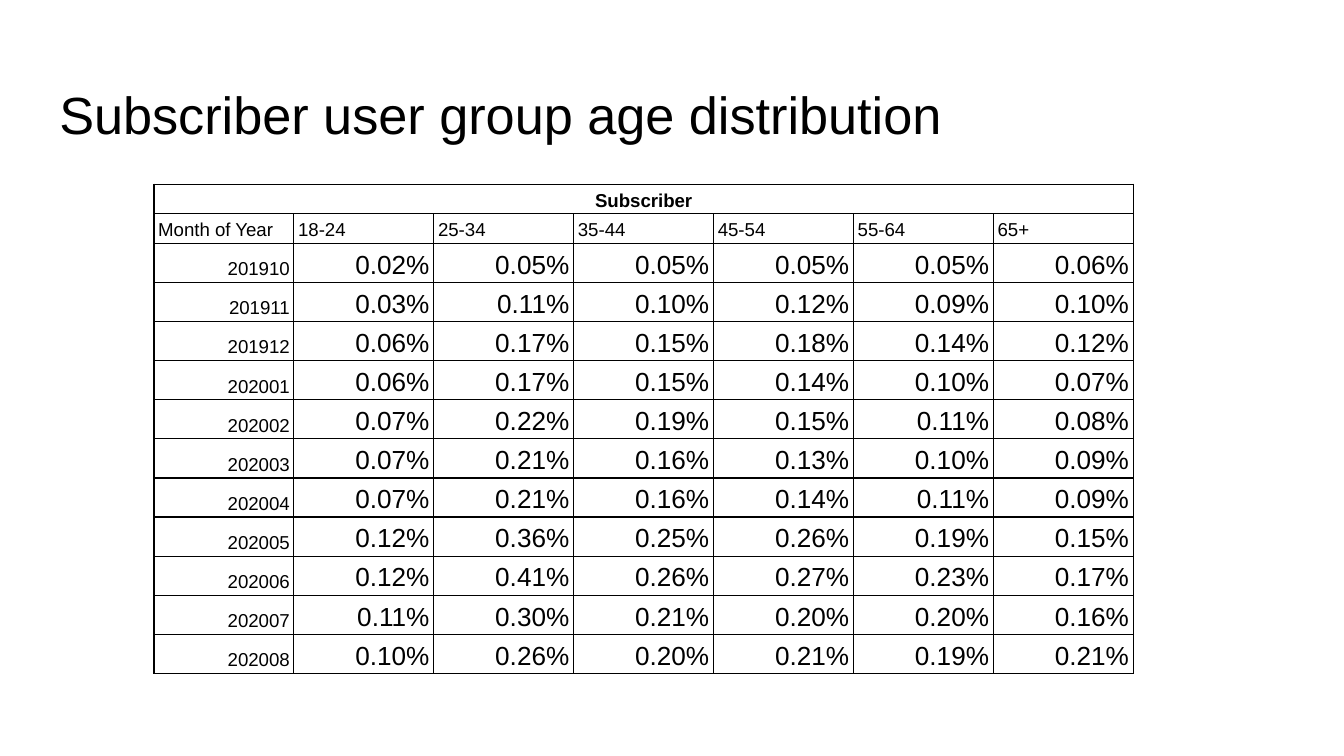
from dataclasses import dataclass

from lxml.etree import SubElement as Sub
from pptx import Presentation
from pptx.dml.color import RGBColor as RGB
from pptx.enum.text import MSO_ANCHOR as Anchor, PP_ALIGN as Align
from pptx.oxml.ns import qn
from pptx.util import Cm, Pt

HEADS = ["Month of Year", "18-24", "25-34", "35-44", "45-54", "55-64", "65+"]
RATES = """
201910 0.02% 0.05% 0.05% 0.05% 0.05% 0.06%
201911 0.03% 0.11% 0.10% 0.12% 0.09% 0.10%
201912 0.06% 0.17% 0.15% 0.18% 0.14% 0.12%
202001 0.06% 0.17% 0.15% 0.14% 0.10% 0.07%
202002 0.07% 0.22% 0.19% 0.15% 0.11% 0.08%
202003 0.07% 0.21% 0.16% 0.13% 0.10% 0.09%
202004 0.07% 0.21% 0.16% 0.14% 0.11% 0.09%
202005 0.12% 0.36% 0.25% 0.26% 0.19% 0.15%
202006 0.12% 0.41% 0.26% 0.27% 0.23% 0.17%
202007 0.11% 0.30% 0.21% 0.20% 0.20% 0.16%
202008 0.10% 0.26% 0.20% 0.21% 0.19% 0.21%
"""


@dataclass(frozen=True)
class Theme:
    font: str = "Arial"
    ink: str = "000000"
    title: float = 28
    label: float = 10
    value: float = 14
    rule: float = 0.75


def write(frame, text, theme, size, bold=False, align=Align.LEFT, gap=1.0):
    para = frame.paragraphs[0]
    para.alignment = align
    para.line_spacing = gap
    run = para.add_run()
    run.text = text
    font = run.font
    font.name, font.size, font.bold = theme.font, Pt(size), bold
    font.color.rgb = RGB.from_string(theme.ink)


class Page:
    """Holds the theme and the slide being filled."""

    def __init__(self, deck, theme):
        self.theme = theme
        self.slide = deck.slides.add_slide(deck.slide_layouts[5])

    def title(self, text, left, top, width, height):
        shape = self.slide.shapes.title
        shape.left, shape.top = Cm(left), Cm(top)
        shape.width, shape.height = Cm(width), Cm(height)
        frame = shape.text_frame
        frame.word_wrap = True
        frame.vertical_anchor = Anchor.TOP
        frame.margin_left = frame.margin_right = Cm(0.25)
        frame.margin_top, frame.margin_bottom = Cm(0.32), Cm(0.25)
        write(frame, text, self.theme, self.theme.title)

    def border(self, cell):
        props = cell._tc.get_or_add_tcPr()
        for side in ("a:lnL", "a:lnR", "a:lnT", "a:lnB"):
            line = Sub(props, qn(side), w=str(Pt(self.theme.rule)))
            fill = Sub(line, qn("a:solidFill"))
            Sub(fill, qn("a:srgbClr"), val=self.theme.ink)

    def cell(self, cell, text, size, **style):
        cell.vertical_anchor = Anchor.BOTTOM
        cell.margin_left = cell.margin_right = Cm(0.08)
        cell.margin_top = cell.margin_bottom = Cm(0.05)
        self.border(cell)
        cell.fill.background()
        if text:
            write(cell.text_frame, text, self.theme, size, gap=1.15, **style)

    def table(self, group, heads, rows, left, top, width):
        """Place a spanning group row, a row of heads, then the data rows."""
        theme, count = self.theme, len(heads)
        tall = [0.56, 0.56] + [0.61] * len(rows)
        grid = self.slide.shapes.add_table(
            len(tall), count, Cm(left), Cm(top), Cm(width), Cm(sum(tall))).table
        grid.first_row = grid.horz_banding = False
        for row, height in zip(grid.rows, tall):
            row.height = Cm(height)
        for col, head in enumerate(heads):
            self.cell(grid.cell(0, col), "" if col else group, theme.label,
                      bold=True, align=Align.CENTER)
            self.cell(grid.cell(1, col), head, theme.label)
        grid.cell(0, 0).merge(grid.cell(0, count - 1))
        for line, row in enumerate(rows, 2):
            for col, text in enumerate(row):
                size = theme.value if col else theme.label
                self.cell(grid.cell(line, col), text, size, align=Align.RIGHT)


def main():
    deck = Presentation()
    deck.slide_width, deck.slide_height = Cm(25.4), Cm(14.29)
    page = Page(deck, Theme())
    page.title("Subscriber user group age distribution", 0.87, 1.24, 23.67, 1.6)
    rows = [line.split() for line in RATES.strip().splitlines()]
    page.table("Subscriber", HEADS, rows, 2.91, 3.48, 18.51)
    deck.save("out.pptx")


if __name__ == "__main__":
    main()
